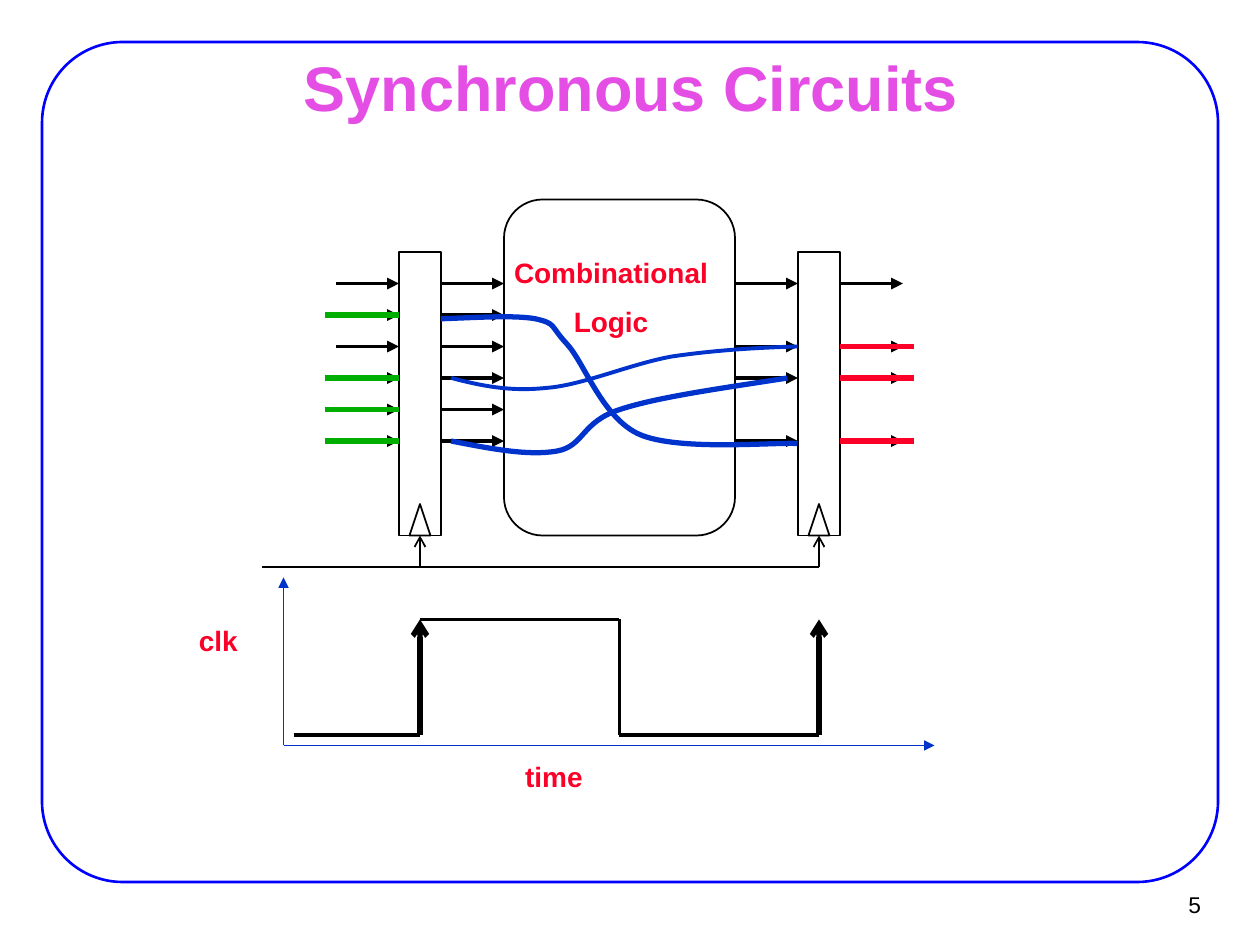
import pptx
import pptx.util
import pptx.dml.color
import pptx.enum.shapes
import pptx.enum.text
import lxml.etree
from pptx.util import Inches

COLORS = {"frame": "0000FF", "title": "E44EE4", "label": "FC0128", "ink": "000000",
          "path_delay": "0033CC", "input": "00AE00", "paper": "FFFFFF"}
SHAPES = pptx.enum.shapes.MSO_SHAPE
ALIGN = pptx.enum.text.PP_ALIGN
A = "{http://schemas.openxmlformats.org/drawingml/2006/main}"

deck = pptx.Presentation()
deck.slide_width, deck.slide_height = Inches(10), Inches(7.5)
page = deck.slides.add_slide(deck.slide_layouts[6])


def rgb(name):
    return pptx.dml.color.RGBColor.from_string(COLORS[name])


def add_line(start, end, color="ink", width=2.25, arrow=None):
    line = page.shapes.add_connector(
        pptx.enum.shapes.MSO_CONNECTOR.STRAIGHT, *[Inches(v) for v in (*start, *end)])
    line.line.color.rgb = rgb(color)
    line.line.width = pptx.util.Pt(width)
    if arrow:
        lxml.etree.SubElement(line.line._get_or_add_ln(), A + "tailEnd", type=arrow)
    lxml.etree.SubElement(line._element.spPr, A + "effectLst")


# Slide frame, logic block, and the two registers with their clock inputs
blocks = [
    (SHAPES.ROUNDED_RECTANGLE, (1 / 3, 1 / 3, 28 / 3, 20 / 3), 0.096, None, "frame", 1.5),
    (SHAPES.ROUNDED_RECTANGLE, (4, 19 / 12, 11 / 6, 8 / 3), 0.167, None, "ink", 1),
]
register_centers = (10 / 3, 6.5)
for center in register_centers:
    blocks.append((SHAPES.RECTANGLE, (center - 1 / 6, 2, 1 / 3, 2.25), None, "paper", "ink", 1))
    blocks.append((SHAPES.ISOSCELES_TRIANGLE, (center - 1 / 12, 4, 1 / 6, 0.25),
                   0.5, "paper", "ink", 1))
for kind, place, adjustment, fill, color, width in blocks:
    block = page.shapes.add_shape(kind, *[Inches(v) for v in place])
    block.shadow.inherit = False
    if adjustment is not None:
        block.adjustments[0] = adjustment
    if fill:
        block.fill.solid()
        block.fill.fore_color.rgb = rgb(fill)
    else:
        block.fill.background()
    block.line.color.rgb = rgb(color)
    block.line.width = pptx.util.Pt(width)

# Texts: wording, place, size, colour, bold, alignment, wrap
texts = [
    ("5", (9.02, 6.99, 0.61, 0.37), 13, "ink", False, ALIGN.RIGHT, False),
    ("Synchronous Circuits", (0.76, 0.44, 8.5, 0.49), 36, "title", True, ALIGN.CENTER, True),
    ("Combinational\nLogic", (3.98, 1.98, 1.74, 0.77), 16, "label", True, ALIGN.CENTER, False),
    ("time", (4.07, 5.98, 0.66, 0.37), 16, "label", True, ALIGN.LEFT, False),
    ("clk", (1.48, 4.9, 0.51, 0.37), 16, "label", True, ALIGN.LEFT, False),
]
for wording, place, size, color, bold, alignment, wrap in texts:
    box = page.shapes.add_textbox(*[Inches(v) for v in place])
    frame = box.text_frame
    frame.text = wording
    frame.word_wrap = wrap
    frame.vertical_anchor = (pptx.enum.text.MSO_ANCHOR.TOP if size == 16
                             else pptx.enum.text.MSO_ANCHOR.MIDDLE)
    for number, para in enumerate(frame.paragraphs):
        para.alignment = alignment
        if number:
            para.space_before = pptx.util.Pt(8.5)
        for span in para.runs:
            span.font.name = "Arial"
            span.font.size = pptx.util.Pt(size)
            span.font.bold = bold
            span.font.color.rgb = rgb(color)

# Signal arrows on a quarter-inch grid
input_rows = [2.25 + 0.25 * row for row in range(6)]
output_rows = [2.25, 2.75, 3, 3.5]
for left, rows in ((8 / 3, input_rows), (3.5, input_rows),
                   (35 / 6, output_rows), (20 / 3, output_rows)):
    for y in rows:
        add_line((left, y), (left + 0.5, y), arrow="triangle")

# Clock wire
for center in register_centers:
    add_line((center, 4.5), (center, 4.25), width=1, arrow="arrow")
add_line((6.5, 4.5), (25 / 12, 4.5), width=1)

# Clock waveform with rising edges, then its axes
low, high, fall = 35 / 6, 59 / 12, 59 / 12
first_edge, second_edge = register_centers
wave = [(7 / 3, low), (first_edge, low), (first_edge, high), (fall, high),
        (fall, low), (second_edge, low), (second_edge, high)]
for start, end in zip(wave, wave[1:]):
    rising = end[1] < start[1]
    add_line(start, end, width=3 if rising else 2.25, arrow="arrow" if rising else None)
corner = (2.25, 71 / 12)
for end in ((89 / 12, corner[1]), (corner[0], 55 / 12)):
    add_line(corner, end, "path_delay", 1, "triangle")

# Signal paths through the logic: cubic curves, three points for each piece
curves = [
    (3, [(3.58, 3.5), (3.89, 3.56), (4.19, 3.62), (4.42, 3.58), (4.64, 3.54), (4.61, 3.35),
         (4.92, 3.25), (5.22, 3.15), (5.74, 3.08), (6.25, 3)]),
    (3, [(3.5, 2.53), (3.79, 2.52), (4.08, 2.5), (4.25, 2.53), (4.42, 2.57), (4.36, 2.58),
         (4.5, 2.73), (4.64, 2.88), (4.78, 3.32), (5.08, 3.45), (5.39, 3.58), (6.12, 3.51),
         (6.33, 3.52)]),
    (2.25, [(3.58, 3), (3.81, 3.06), (4.04, 3.11), (4.33, 3.08), (4.62, 3.06), (5, 2.89),
            (5.33, 2.83), (5.67, 2.78), (6, 2.76), (6.33, 2.75)]),
]
for width, points in curves:
    start, *others = [[Inches(v) for v in point] for point in points]
    builder = page.shapes.build_freeform(*start)
    builder.add_line_segments(others, close=False)
    curve = builder.convert_to_shape()
    # Join every three straight segments into one cubic curve
    segments = list(curve._element.iter(A + "lnTo"))
    outline = segments[0].getparent()
    for first in range(0, len(segments), 3):
        cubic = lxml.etree.SubElement(outline, A + "cubicBezTo")
        for segment in segments[first:first + 3]:
            cubic.append(segment[0])
            outline.remove(segment)
    curve.shadow.inherit = False
    curve.fill.background()
    curve.line.color.rgb = rgb("path_delay")
    curve.line.width = pptx.util.Pt(width)

# Highlighted outputs and inputs
for left, right, color, rows in ((20 / 3, 7.25, "label", output_rows[1:]),
                                 (31 / 12, 19 / 6, "input", [2.5, 3, 3.25, 3.5])):
    for y in rows:
        add_line((left, y), (right, y), color, 3)

deck.save("out.pptx")
